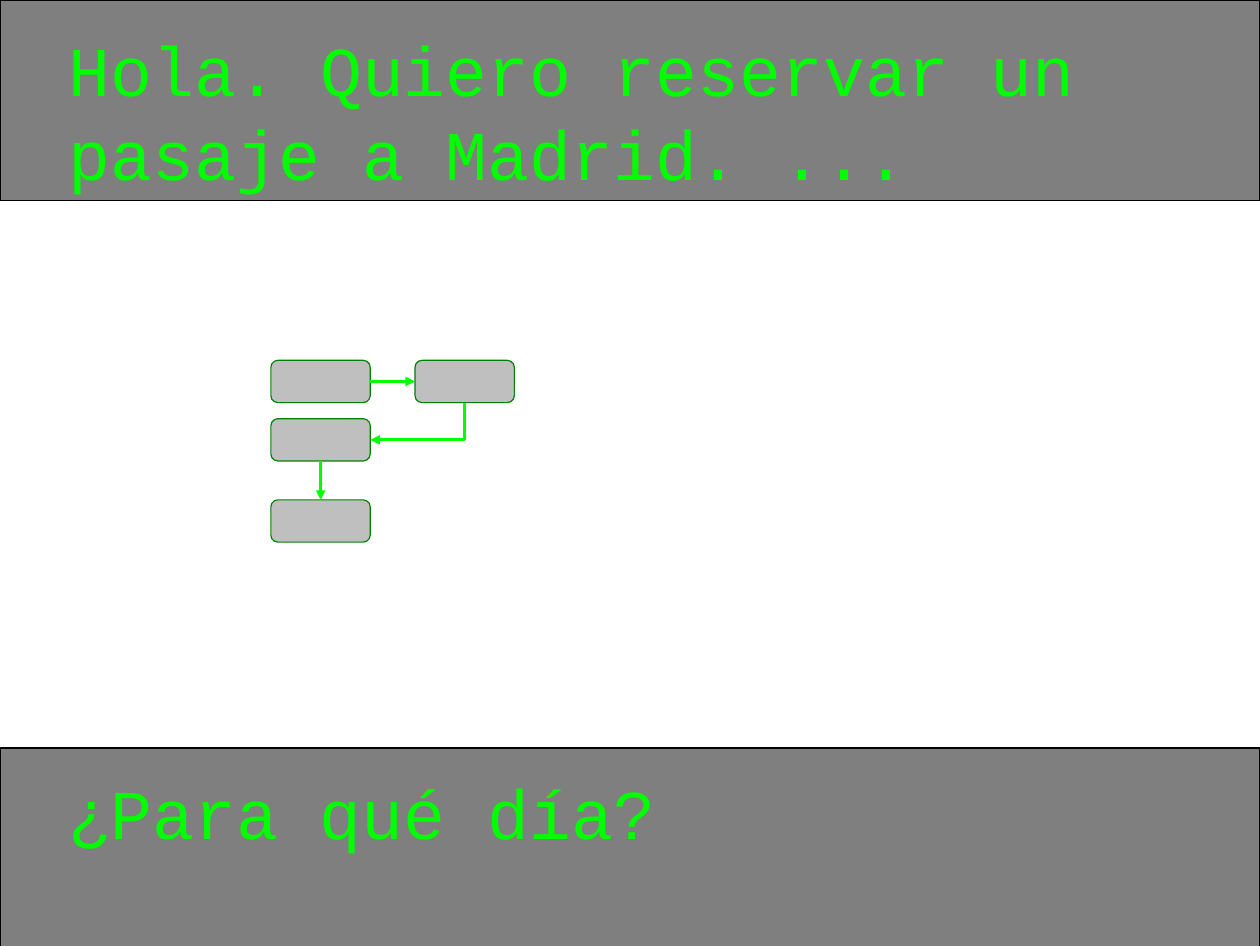
from lxml import etree
from pptx import Presentation
from pptx import util as u
from pptx.dml.color import RGBColor
from pptx.enum import shapes, text
from pptx.oxml import ns

TOP, LEFT, BASE, RIGHT = range(4)


def tint(code):
    return RGBColor.from_string(code)


def sub(node, tag, **attrs):
    return etree.SubElement(node, ns.qn(tag), attrs)


class Sheet:
    """Places elements on a grid of 100 columns by 100 rows."""
    font, size, green = "Courier New", 44, "00FF00"

    def __init__(self, deck):
        self.wide, self.high = deck.slide_width, deck.slide_height
        self.page = deck.slides.add_slide(deck.slide_layouts[5])
        self.items = self.page.shapes

    def area(self, x, y, w, h):
        return [int(part * full / 100) for part, full in
                zip((x, y, w, h), (self.wide, self.high) * 2)]

    def block(self, kind, place, line, alpha):
        """Add a black shape whose fill has alpha percent opacity."""
        item = self.items.add_shape(kind, *self.area(*place))
        item.shadow.inherit = False
        item.fill.solid()
        item.fill.fore_color.rgb = tint("000000")
        fill = item.element.spPr.find(ns.qn("a:solidFill"))
        sub(fill[0], "a:alpha", val=str(alpha * 1000))
        item.line.color.rgb = tint(line)
        item.line.width = 0
        return item

    def band(self, y):
        self.block(shapes.MSO_SHAPE.FLOWCHART_PROCESS,
                   (0, y, 100, 21.16), "000000", 50)

    def step(self, x, y):
        return self.block(shapes.MSO_SHAPE.FLOWCHART_ALTERNATE_PROCESS,
                          (x, y, 7.89, 4.47), "008000", 25)

    def link(self, start, out, end, into):
        """Join two steps with an arrow; a step down and left turns once."""
        bent = out == BASE and into == RIGHT
        kind = shapes.MSO_CONNECTOR.ELBOW if bent else shapes.MSO_CONNECTOR.STRAIGHT
        item = self.items.add_connector(kind, 0, 0, 0, 0)
        item.begin_connect(start, out)
        item.end_connect(end, into)
        item.line.color.rgb = tint(self.green)
        item.line.width = 0
        props = item.element.spPr
        sub(props.find(ns.qn("a:ln")), "a:tailEnd", type="triangle")
        sub(props, "a:effectLst")
        if bent:
            self.turn(item, props)

    def turn(self, item, props):
        """Make the connector a single corner, rotated to leave downwards."""
        x, y = item.begin_x, item.begin_y
        across, down = x - item.end_x, item.end_y - y
        frame = props.find(ns.qn("a:xfrm"))
        for flip in ("flipH", "flipV"):
            frame.attrib.pop(flip, None)
        frame.set("rot", str(90 * 60000))
        props.find(ns.qn("a:prstGeom")).set("prst", "bentConnector2")
        item.left = x - (across + down) // 2
        item.top = y + (down - across) // 2
        item.width, item.height = down, across

    def fill(self, item, place, lines):
        """Move a text shape into place and set its lines."""
        item.left, item.top, item.width, item.height = self.area(*place)
        frame = item.text_frame
        frame.word_wrap = False
        frame.auto_size = text.MSO_AUTO_SIZE.SHAPE_TO_FIT_TEXT
        frame.vertical_anchor = text.MSO_ANCHOR.TOP
        para = frame.paragraphs[0]
        para.alignment = text.PP_ALIGN.LEFT
        for row, words in enumerate(lines):
            if row:
                para.add_line_break()
            run = para.add_run()
            run.text = words
            run.font.name, run.font.size = self.font, u.Pt(self.size)
            run.font.color.rgb = tint(self.green)

    def title(self, place, *lines):
        item = self.items.title
        item.element.getparent().append(item.element)
        self.fill(item, place, lines)

    def label(self, place, *lines):
        self.fill(self.items.add_textbox(0, 0, 0, 0), place, lines)


def main():
    deck = Presentation()
    deck.slide_width, deck.slide_height = u.Inches(11.02), u.Inches(8.27)
    sheet = Sheet(deck)

    sheet.band(0)
    sheet.title((4.54, 2.18, 81.76, 18.02),
                "Hola. Quiero reservar un", "pasaje a Madrid. ...")

    near, far = 21.5, 32.94
    first, second, third, last = [sheet.step(x, y) for x, y in (
        (near, 38.09), (far, 38.09), (near, 44.26), (near, 52.84))]
    sheet.link(first, RIGHT, second, LEFT)
    sheet.link(second, BASE, third, RIGHT)
    sheet.link(third, BASE, last, TOP)

    sheet.band(79.08)
    sheet.label((4.54, 80.77, 48.46, 9.55), "¿Para qué día?")
    deck.save("out.pptx")


if __name__ == "__main__":
    main()
